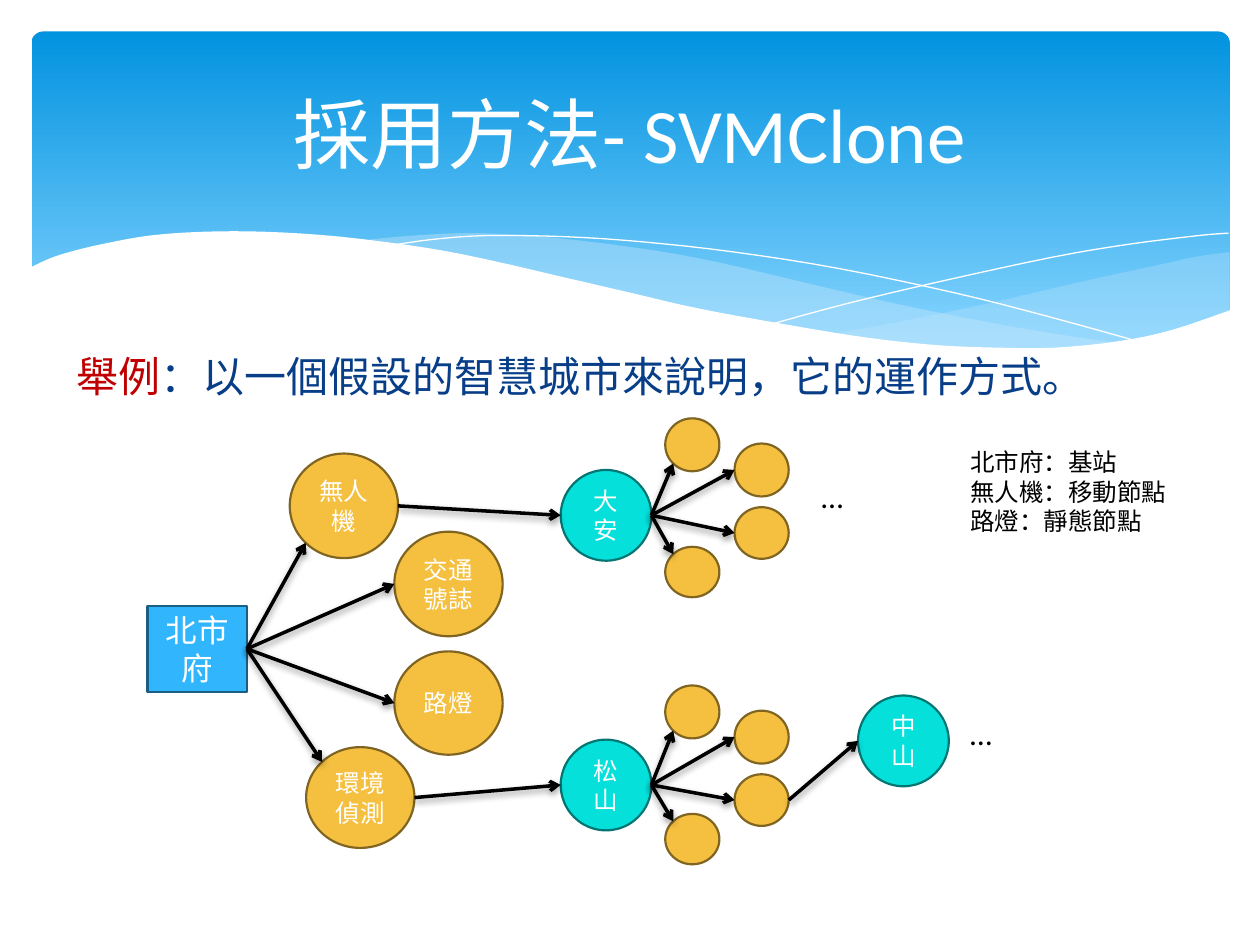
from lxml import etree
from pptx import Presentation
from pptx import util as u
from pptx.dml.color import RGBColor
from pptx.enum import shapes, text
from pptx.oxml.ns import qn

COLUMNS, ROWS = 100, 75
CELL = u.Inches(0.1)
FONT = "Calibri"
BLACK, WHITE = "000000", "FFFFFF"
GOLD = ("F5C040", "806421")
TEAL = ("05E0DB", "037572")
BLUE = ("31B6FD", "195F84")
CIRCLE = shapes.MSO_SHAPE.FLOWCHART_CONNECTOR
DIAGONAL = 0.707
LEFT, RIGHT, UPPER_LEFT, LOWER_LEFT = (-1, 0), (1, 0), (-DIAGONAL, -DIAGONAL), (-DIAGONAL, DIAGONAL)

BACK_WAVE = (
    [(97.6, 20), (94.8, 20.4), (92.1, 21), (86.1, 22.3), (77.9, 24.2), (70.6, 25.7), (66.1, 26.5)],
    [(66.1, 26.5), (71.9, 27.2), (76.9, 27.7), (81.4, 27.8), (86.3, 27.5), (90.5, 26.9), (93.5, 26.2), (97.6, 24.7)],
)
FRONT_WAVE = (
    [(89.3, 27.3), (83.7, 26.5), (77.5, 25.4), (70.6, 24), (62.9, 22.2), (56.9, 20.8), (51.4, 19.8),
     (44.2, 18.9), (38, 18.5), (32.8, 18.7), (28.6, 19.1)],
    [(28.6, 19.1), (34.2, 19.9), (40.4, 21.1), (44.9, 22.2), (53, 24), (60.1, 25.5), (66.5, 26.6),
     (72.2, 27.4), (78.5, 27.8), (83.8, 27.8), (89.3, 27.3)],
)
FALLING_LINE = [(30.9, 19.5), (34.4, 19), (38.7, 18.7), (45, 18.8), (51, 19.2), (58.2, 20), (66.5, 21.3),
                (76, 23.3), (83.1, 25.1), (90.7, 27.2)]
RISING_LINE = [(61.3, 25.7), (67.2, 24.1), (74.8, 22.3), (83.6, 20.4), (89.5, 19.4), (95.1, 18.7), (97.5, 18.5)]
PAPER_EDGE = [(97.7, 24.6), (93, 26.2), (88.7, 27.1), (83.7, 27.6), (79.3, 27.6), (74.4, 27.4), (68.8, 26.8),
              (62.6, 25.8), (55.5, 24.5), (50.3, 23.3), (44.7, 22), (39.1, 20.7), (34, 19.7), (27.1, 18.8),
              (21.1, 18.4), (16.1, 18.4), (11.9, 18.7), (8.5, 19.3), (5.9, 19.9), (4, 20.5), (2.3, 21.3)]


def grid(*cells):
    return [round(cell * CELL) for cell in cells]


def colour(value):
    return RGBColor.from_string(value)


def apply(target, **values):
    for name, value in values.items():
        setattr(target, name, value)


def smooth(points, steps=4):
    padded = [points[0], *points, points[-1]]
    curve = [points[0]]
    for a, b, c, d in zip(padded, padded[1:], padded[2:], padded[3:]):
        for step in range(1, steps + 1):
            t = step / steps
            curve.append(tuple(
                0.5 * (2 * q + (r - p) * t + (2 * p - 5 * q + 4 * r - s) * t ** 2 + (3 * q - p - 3 * r + s) * t ** 3)
                for p, q, r, s in zip(a, b, c, d)))
    return curve


def add_outline(page, points, fill=None, opacity=100, line=None):
    places = [grid(*point) for point in points]
    builder = page.shapes.build_freeform(*places[0])
    builder.add_line_segments(places[1:], close=fill is not None)
    outline = builder.convert_to_shape()
    outline.shadow.inherit = False
    if fill:
        outline.fill.solid()
        outline.fill.fore_color.rgb = colour(fill)
        shade = outline._element.spPr.find(".//" + qn("a:srgbClr"))
        etree.SubElement(shade, qn("a:alpha"), val=str(opacity * 1000))
    else:
        outline.fill.background()
    if line:
        outline.line.color.rgb = colour(line)
        outline.line.width = 0
    else:
        outline.line.fill.background()


def add_banner(page):
    box = page.shapes.add_shape(shapes.MSO_SHAPE.ROUNDED_RECTANGLE, *grid(2.5, 2.5, 95.1, 27))
    box.adjustments[0] = 0.034
    box.shadow.inherit = False
    box.line.fill.background()
    box.fill.gradient()
    box.fill.gradient_angle = 270
    for stop, position, value in zip(box.fill.gradient_stops, (0, 0.9), ("0293E0", "83D3FE")):
        apply(stop, position=position)
        stop.color.rgb = colour(value)
    for (top, bottom), opacity in ((BACK_WAVE, 29), (FRONT_WAVE, 40)):
        add_outline(page, smooth(top) + smooth(bottom), "C6E7FC", opacity)
    for points in (FALLING_LINE, RISING_LINE):
        add_outline(page, smooth(points), line=WHITE)
    add_outline(page, smooth(PAPER_EDGE) + [(2.3, 32.9), (97.7, 32.9)], WHITE)


def write(box, paragraphs, size, align=text.PP_ALIGN.LEFT, anchor=text.MSO_ANCHOR.TOP, wrap=True):
    frame = box.text_frame
    apply(frame, word_wrap=wrap, vertical_anchor=anchor)
    for index, spans in enumerate(paragraphs):
        para = frame.add_paragraph() if index else frame.paragraphs[0]
        para.alignment = align
        for words, value in spans:
            span = para.add_run()
            span.text = words
            apply(span.font, name=FONT, size=u.Pt(size))
            span.font.color.rgb = colour(value)


def add_title(page, words):
    title = page.shapes.title
    page.shapes._spTree.append(title._element)
    apply(title, **dict(zip(("left", "top", "width", "height"), grid(5, 3.7, 90, 13.7))))
    write(title, [[(words, WHITE)]], 44, text.PP_ALIGN.CENTER, text.MSO_ANCHOR.MIDDLE)


def add_label(page, cells, paragraphs, size, wrap=True):
    box = page.shapes.add_textbox(*grid(*cells))
    write(box, paragraphs, size, wrap=wrap)
    return box


def add_node(page, kind, cells, colours, words="", size=14):
    box = page.shapes.add_shape(kind, *grid(*cells))
    box.shadow.inherit = False
    box.fill.solid()
    box.fill.fore_color.rgb = colour(colours[0])
    box.line.color.rgb = colour(colours[1])
    box.line.width = u.Pt(1.25)
    if words:
        write(box, [[(words, WHITE)]], size, text.PP_ALIGN.CENTER, text.MSO_ANCHOR.MIDDLE)
    return box


def rim(box, side):
    return (round(box.left + box.width * (1 + side[0]) / 2),
            round(box.top + box.height * (1 + side[1]) / 2))


def add_arrow(page, source, target, side=LEFT):
    arrow = page.shapes.add_connector(shapes.MSO_CONNECTOR.STRAIGHT, *rim(source, RIGHT), *rim(target, side))
    arrow.line.color.rgb = colour(BLACK)
    arrow.line.width = u.Pt(2)
    etree.SubElement(arrow.line._get_or_add_ln(), qn("a:tailEnd"), type="arrow")
    effects = etree.SubElement(arrow._element.spPr, qn("a:effectLst"))
    shadow = etree.SubElement(effects, qn("a:outerShdw"), blurRad=str(u.Pt(4)), dist=str(u.Pt(2)),
                              dir="5400000", rotWithShape="0")
    shade = etree.SubElement(shadow, qn("a:srgbClr"), val=BLACK)
    etree.SubElement(shade, qn("a:alpha"), val="38000")
    return arrow


def add_cluster(page, hub, top):
    dots = []
    for left, drop, height, side in ((52.8, 0, 4.2, LOWER_LEFT), (58.3, 2, 4.2, LEFT),
                                     (58.3, 7.05, 4.1, LEFT), (52.8, 10.2, 4, UPPER_LEFT)):
        dot = add_node(page, CIRCLE, (left, top + drop, 4.3, height), GOLD)
        add_arrow(page, hub, dot, side)
        dots.append(dot)
    return dots


def main():
    deck = Presentation()
    apply(deck, slide_width=COLUMNS * CELL, slide_height=ROWS * CELL)
    page = deck.slides.add_slide(deck.slide_layouts[5])
    add_banner(page)
    example = [("舉例", "C00000"), ("：以一個假設的智慧城市來說明，它的運作方式。", "073E87")]
    body = add_label(page, (5.1, 27.3, 89.8, 47.2), [example], 24)
    body.text_frame.paragraphs[0].space_before = u.Pt(4.8)
    add_title(page, "採用方法- SVMClone")

    city = add_node(page, shapes.MSO_SHAPE.RECTANGLE, (11.7, 48.1, 7.9, 6.8), BLUE, "北市府", 18)
    zhongshan, daan, songshan = [
        add_node(page, shapes.MSO_SHAPE.OVAL, (left, top, 7.2, 7.2), TEAL, words)
        for left, top, words in ((68.1, 55.2, "中山"), (44.5, 37.3, "大安"), (44.5, 58.7, "松山"))]

    services = []
    for left, top, height, words, side in (
            (23, 36, 8.3, "無人機", LOWER_LEFT), (31.3, 42.2, 8.3, "交通號誌", LEFT),
            (31.3, 51.7, 8.2, "路燈", LEFT), (24.3, 59.3, 8, "環境偵測", UPPER_LEFT)):
        service = add_node(page, CIRCLE, (left, top, 8.6, height), GOLD, words)
        add_arrow(page, city, service, side).begin_connect(city, 3)
        services.append(service)

    add_arrow(page, services[0], daan)
    add_arrow(page, services[3], songshan)
    add_cluster(page, daan, 33.2)
    dots = add_cluster(page, songshan, 54.4)
    add_arrow(page, dots[2], zhongshan)

    legend = ("北市府：基站", "無人機：移動節點", "路燈：靜態節點")
    add_label(page, (76, 35, 22.8, 10.4), [[(words, BLACK)] for words in legend], 14)
    for left, top in ((76, 56.2), (64.2, 37.4)):
        add_label(page, (left, top, 4.5, 4), [[("…", BLACK)]], 18, wrap=False)
    deck.save("out.pptx")


if __name__ == "__main__":
    main()
